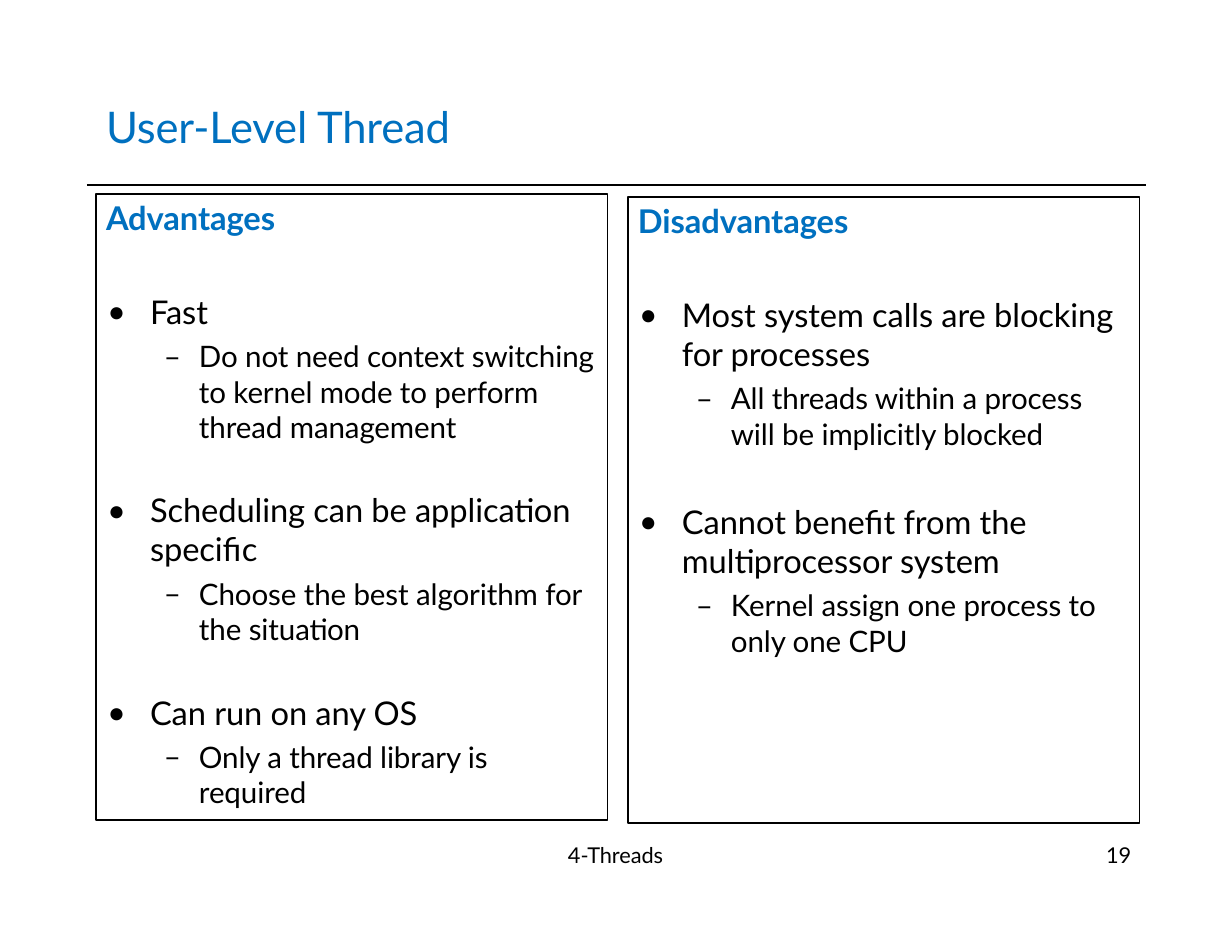
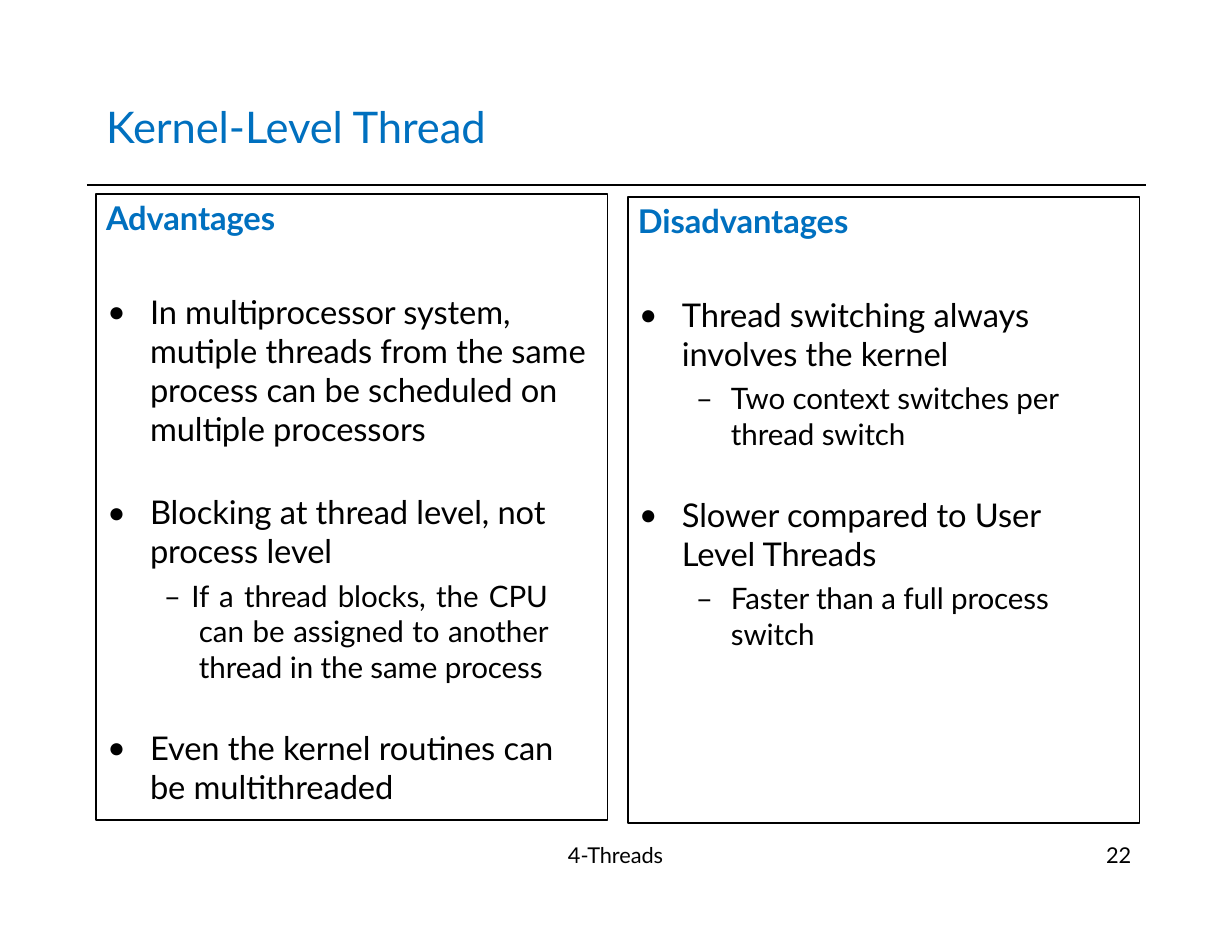
import pptx
import pptx.dml.color
import pptx.enum.shapes
import pptx.enum.text
import pptx.oxml.ns
import pptx.util
from dataclasses import dataclass
from lxml import etree

SCALE = 914400 / 112  # EMU in one px


@dataclass(frozen=True)
class Theme:
    font: str = "Lato"
    blue: str = "0070BF"
    black: str = "000000"
    title: int = 28
    main: int = 21
    sub: int = 19
    foot: int = 14
    track: str = "-5"


@dataclass(frozen=True)
class Style:
    size: int
    left: int
    indent: int
    right: int = 0
    bullet: str = ""
    fill: bool = False  # justified lines


THEME = Theme()
STYLES = {
    "dot": Style(THEME.main, 44, -43, bullet="•"),
    "tight": Style(THEME.main, 44, -43, right=39, bullet="•"),
    "dash": Style(THEME.sub, 93, -35, bullet="–"),
    "typed": Style(THEME.sub, 93, -35, right=51, fill=True),
}
HEAD_GAP = 35
SUB_GAP = 4.7


def px(n):
    return pptx.util.Emu(round(n * SCALE))


def color(code):
    return pptx.dml.color.RGBColor.from_string(code)


# Text
def add_box(slide, left, top, width, height):
    frame = slide.shapes.add_textbox(px(left), px(top), px(width), px(height)).text_frame
    frame.word_wrap = True
    frame.margin_left = frame.margin_right = frame.margin_bottom = 0
    frame.margin_top = px(1)
    return frame


def set_text(para, text, size, tint=THEME.black, bold=False, before=1.0):
    para.text = text
    para.space_before = pptx.util.Pt(before)
    for run in para.runs:
        run.font.name = THEME.font
        run.font.size = pptx.util.Pt(size)
        run.font.bold = bold
        run.font.color.rgb = color(tint)
        run._r.get_or_add_rPr().set("spc", THEME.track)


def set_style(para, style):
    props = para._p.get_or_add_pPr()
    props.set("marL", str(px(style.left)))
    props.set("marR", str(px(style.right)))
    props.set("indent", str(px(style.indent)))
    if style.fill:
        para.alignment = pptx.enum.text.PP_ALIGN.JUSTIFY
    if style.bullet:
        font = etree.SubElement(props, pptx.oxml.ns.qn("a:buFont"))
        font.set("typeface", THEME.font)
        mark = etree.SubElement(props, pptx.oxml.ns.qn("a:buChar"))
        mark.set("char", style.bullet)


def add_label(slide, left, top, width, height, text, size, tint=THEME.black):
    frame = add_box(slide, left, top, width, height)
    set_text(frame.paragraphs[0], text, size, tint)


# Lines and frames
def add_rule(slide, left, right, y):
    rule = slide.shapes.add_connector(
        pptx.enum.shapes.MSO_CONNECTOR.STRAIGHT, px(left), px(y), px(right), px(y))
    rule.line.color.rgb = color(THEME.black)
    rule.line.width = pptx.util.Pt(1.1)
    etree.SubElement(rule._element.spPr, pptx.oxml.ns.qn("a:effectLst"))


def add_panel(slide, left, top, width, head, gap, rows):
    frame = slide.shapes.add_shape(
        pptx.enum.shapes.MSO_SHAPE.RECTANGLE, px(left), px(top), px(512), px(626))
    frame.shadow.inherit = False
    frame.fill.background()
    frame.line.color.rgb = color(THEME.black)
    frame.line.width = pptx.util.Pt(0.7)

    text = add_box(slide, left + 10, top + 3, width, 616)
    set_text(text.paragraphs[0], head, THEME.main, THEME.blue, bold=True)
    for i, (kind, words) in enumerate(rows):
        style = STYLES[kind]
        before = SUB_GAP if style.size == THEME.sub else gap if i else HEAD_GAP
        para = text.add_paragraph()
        set_text(para, words, style.size, before=before)
        set_style(para, style)


# One whole slide
def add_page(deck, title, number, pros, cons):
    slide = deck.slides.add_slide(deck.slide_layouts[6])
    add_rule(slide, 87, 1146, 185)
    add_label(slide, 106, 99, 600, 55, title, THEME.title, THEME.blue)
    add_panel(slide, 96, 194, 493, "Advantages", *pros)
    add_panel(slide, 628, 197, 483, "Disadvantages", *cons)
    add_label(slide, 568, 841, 110, 29, "4-Threads", THEME.foot)
    add_label(slide, 1106, 841, 34, 29, number, THEME.foot)


def main():
    deck = pptx.Presentation()
    deck.slide_width, deck.slide_height = px(1232), px(952)

    # User level: gap in points before each main point, then the points
    add_page(deck, "User-Level Thread", "19", (29.3, [
        ("dot", "Fast"),
        ("dash", "Do not need context switching to kernel mode to perform "
                 "thread management"),
        ("dot", "Scheduling can be application specific"),
        ("dash", "Choose the best algorithm for the situation"),
        ("dot", "Can run on any OS"),
        ("dash", "Only a thread library is required"),
    ]), (32.2, [
        ("dot", "Most system calls are blocking for processes"),
        ("dash", "All threads within a process will be implicitly blocked"),
        ("dot", "Cannot benefit from the multiprocessor system"),
        ("dash", "Kernel assign one process to only one CPU"),
    ]))

    # Kernel level
    add_page(deck, "Kernel-Level Thread", "22", (28, [
        ("dot", "In multiprocessor system, mutiple threads from the same "
                "process can be scheduled on multiple processors"),
        ("tight", "Blocking at thread level, not process level"),
        ("typed", "– If a thread blocks, the CPU can be assigned to another "
                  "thread in the same process"),
        ("tight", "Even the kernel routines can be multithreaded"),
    ]), (27.8, [
        ("dot", "Thread switching always involves the kernel"),
        ("dash", "Two context switches per thread switch"),
        ("dot", "Slower compared to User Level Threads"),
        ("dash", "Faster than a full process switch"),
    ]))
    deck.save("out.pptx")


if __name__ == "__main__":
    main()
